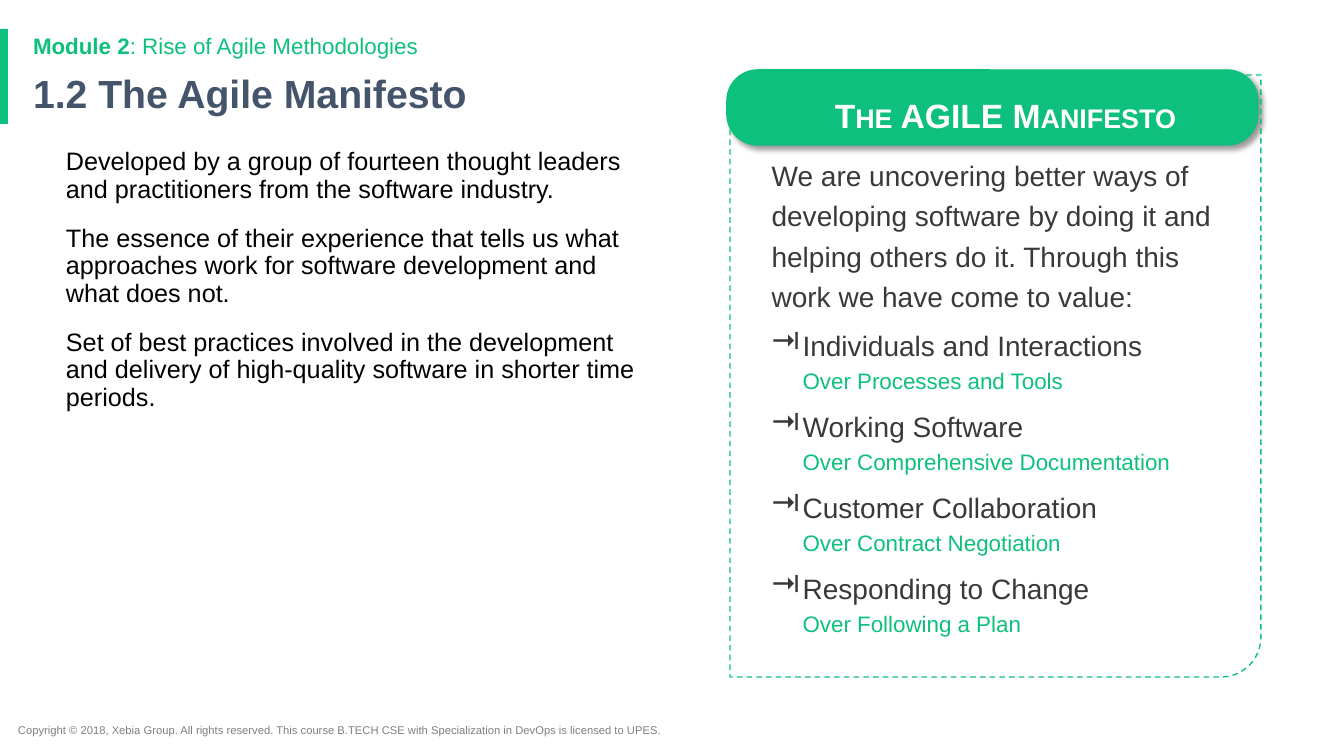
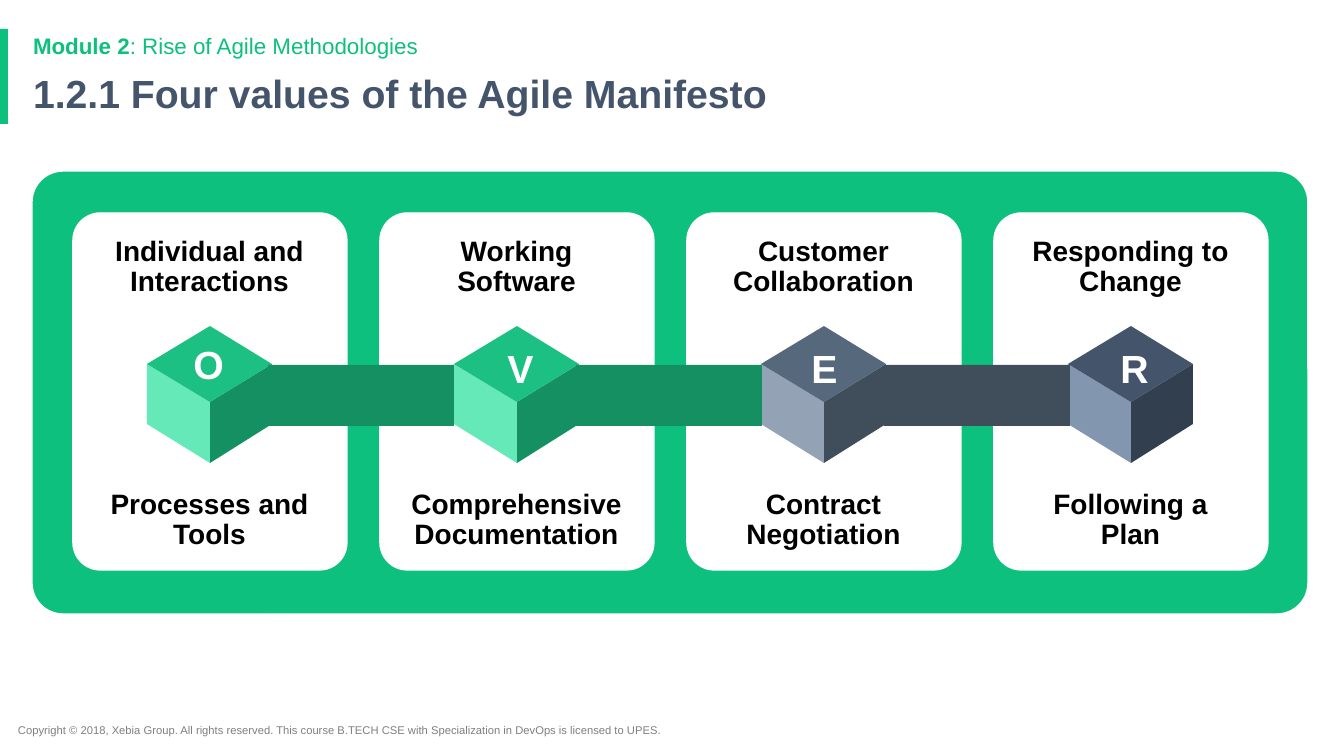
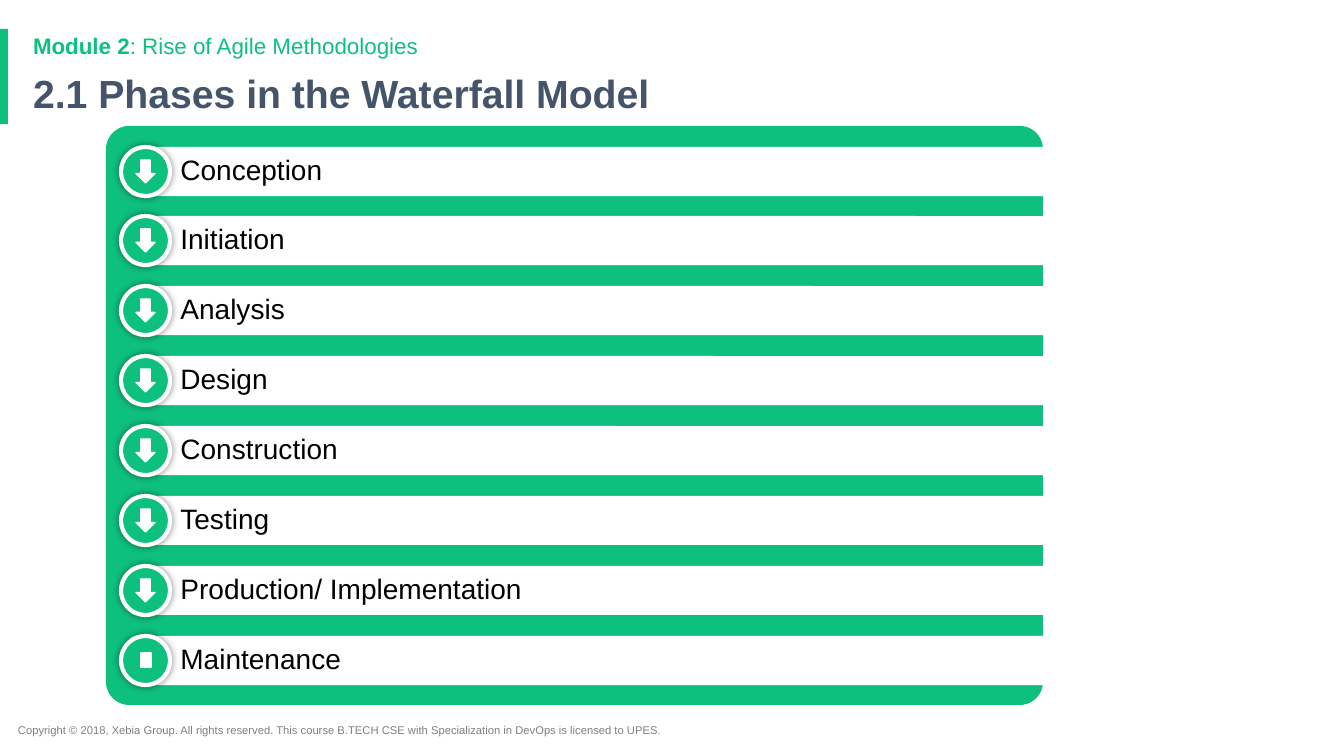
from lxml import etree
from pptx import Presentation
from pptx.dml.color import RGBColor
from pptx.enum.dml import MSO_LINE
from pptx.enum.shapes import MSO_SHAPE
from pptx.enum.text import MSO_ANCHOR, PP_ALIGN
from pptx.oxml.ns import qn
from pptx.util import Pt

PX = 914400 / 100.8
RECT, OVAL = MSO_SHAPE.RECTANGLE, MSO_SHAPE.OVAL
ROUNDED, DIAGONAL = MSO_SHAPE.ROUNDED_RECTANGLE, MSO_SHAPE.ROUND_2_DIAG_RECTANGLE
DOWN_ARROW, DASH = MSO_SHAPE.DOWN_ARROW, MSO_LINE.DASH
TOP, MIDDLE = MSO_ANCHOR.TOP, MSO_ANCHOR.MIDDLE
CENTER = PP_ALIGN.CENTER

GREEN = RGBColor(0x0E, 0xC0, 0x7D)
SLATE = RGBColor(0x44, 0x54, 0x6A)
WHITE = RGBColor(0xFF, 0xFF, 0xFF)
BLACK = RGBColor(0x00, 0x00, 0x00)
GRAY = RGBColor(0x7F, 0x7F, 0x7F)
CHARCOAL = RGBColor(0x3A, 0x38, 0x38)
GREEN_DARK = RGBColor(0x14, 0x90, 0x62)
GREEN_LIGHT = RGBColor(0x65, 0xE9, 0xB8)
GREEN_TOP = RGBColor(0x1C, 0xC0, 0x83)
STEEL_DARK = RGBColor(0x40, 0x4E, 0x5C)
STEEL_LIGHT = RGBColor(0x93, 0xA3, 0xB5)
STEEL_TOP = RGBColor(0x56, 0x68, 0x7C)
NAVY_DARK = RGBColor(0x32, 0x3F, 0x4F)
NAVY_LIGHT = RGBColor(0x82, 0x96, 0xB0)

FOOTER_FONT = {"size": Pt(8), "color": GRAY}
TITLE_FONT = {"size": Pt(28), "color": SLATE, "bold": True}
MODULE_FONT = {"size": Pt(16), "color": GREEN}
BODY_FONT = {"size": Pt(18), "color": BLACK}
CARD_FONT = {"size": Pt(20), "color": BLACK, "bold": True}
LETTER_FONT = {"size": Pt(28), "color": WHITE, "bold": True}
PHASE_FONT = {"size": Pt(20), "color": BLACK}
BANNER_FONT = {"size": Pt(24), "color": WHITE, "bold": True}
VALUE_FONT = {"size": Pt(20), "color": CHARCOAL}
OVER_FONT = {"size": Pt(16), "color": GREEN}
TIGHT = {"line_spacing": 0.9}
TIGHT_CENTER = {"line_spacing": 0.9, "alignment": CENTER}


def add_block(slide, kind, box, fill=None, line=None, weight=1, adj=(), shadow=None):
    block = slide.shapes.add_shape(kind, *[round(v * PX) for v in box])
    block.shadow.inherit = False
    for index, value in enumerate(adj):
        block.adjustments[index] = value
    if fill is None:
        block.fill.background()
    else:
        block.fill.solid()
        block.fill.fore_color.rgb = fill
    if line is None:
        block.line.fill.background()
    else:
        block.line.color.rgb = line
        block.line.width = Pt(weight)
    if shadow:
        blur, distance, angle = shadow
        effects = block._element.spPr.find(qn("a:effectLst"))
        outer = etree.SubElement(effects, qn("a:outerShdw"), blurRad=str(Pt(blur)),
                                 dist=str(Pt(distance)), dir=str(angle * 60000),
                                 algn="ctr", rotWithShape="0")
        tint = etree.SubElement(outer, qn("a:srgbClr"), val="000000")
        etree.SubElement(tint, qn("a:alpha"), val="40000")
    return block


def write(target, paragraphs, box=None, insets=(10, 5, 10, 5), anchor=TOP):
    if box:
        target = target.shapes.add_textbox(*[round(v * PX) for v in box])
    frame = target.text_frame
    frame.word_wrap = True
    frame.vertical_anchor = anchor
    for side, inset in zip(("left", "top", "right", "bottom"), insets):
        setattr(frame, "margin_" + side, round(inset * PX))
    for index, (layout, runs) in enumerate(paragraphs):
        paragraph = frame.paragraphs[0] if index == 0 else frame.add_paragraph()
        paragraph.alignment = PP_ALIGN.LEFT
        for name, value in layout.items():
            if name != "bullet":
                setattr(paragraph, name, value)
        if "bullet" in layout:
            properties = paragraph._p.get_or_add_pPr()
            properties.set("marL", str(round(31 * PX)))
            properties.set("indent", str(round(-31 * PX)))
            bullet_color = etree.SubElement(properties, qn("a:buClr"))
            etree.SubElement(bullet_color, qn("a:srgbClr"), val=str(CHARCOAL))
            etree.SubElement(properties, qn("a:buChar"), char=layout["bullet"])
        for text, style in runs:
            if text.startswith("\n"):
                paragraph.add_line_break()
            run = paragraph.add_run()
            run.text = text.lstrip("\n")
            run.font.name = "Arial"
            for name, value in style.items():
                if name == "color":
                    run.font.color.rgb = value
                elif name == "cap":
                    run.font._element.set("cap", value)
                else:
                    setattr(run.font, name, value)


deck = Presentation()
deck.slide_width, deck.slide_height = round(1344 * PX), round(756 * PX)

slides = []
for title in ("1.2 The Agile Manifesto", "1.2.1 Four values of the Agile Manifesto",
              "2.1 Phases in the Waterfall Model"):
    slide = deck.slides.add_slide(deck.slide_layouts[6])
    add_block(slide, RECT, (0, 29, 8, 95), GREEN)
    write(slide, [({}, [("Copyright © 2018, Xebia Group. All rights reserved. This course B.TECH CSE "
                         "with Specialization in DevOps is licensed to UPES.", FOOTER_FONT)])],
          (8, 718, 719, 24))
    write(slide, [(TIGHT, [(title, TITLE_FONT)])], (23, 70, 1211, 54))
    write(slide, [(TIGHT, [("Module 2", {**MODULE_FONT, "bold": True}),
                           (": Rise of Agile Methodologies", MODULE_FONT)])],
          (23, 30, 1211, 33))
    slides.append(slide)
manifesto, values, waterfall = slides

origins = (
    "Developed by a group of fourteen thought leaders and practitioners from the software industry.",
    "The essence of their experience that tells us what approaches work for software development "
    "and what does not.",
    "Set of best practices involved in the development and delivery of high-quality software in "
    "shorter time periods.",
)
write(manifesto, [({**TIGHT, "space_before": Pt(16 if i else 0)}, [(text, BODY_FONT)])
                  for i, text in enumerate(origins)], (56, 144, 589, 533))

add_block(manifesto, ROUNDED, (727, 70, 531, 75), GREEN, GREEN, adj=(0.41,), shadow=(4, 3, 45))
manifesto_frame = add_block(manifesto, DIAGONAL, (730, 75, 531, 602), line=GREEN, adj=(0.075, 0))
manifesto_frame.line.dash_style = DASH
small_caps = {**BANNER_FONT, "cap": "small"}
manifesto_text = [
    ({"line_spacing": 1.2, "alignment": CENTER},
     [("The", small_caps), (" AGILE ", BANNER_FONT), ("Manifesto", small_caps)]),
    ({"line_spacing": 1.2, "space_before": Pt(12)},
     [("We are uncovering better ways of developing software by doing it and helping others "
       "do it. Through this work we have come to value:", VALUE_FONT)]),
]
for value, over in (("Individuals and Interactions", "Over Processes and Tools"),
                    ("Working Software", "Over Comprehensive Documentation"),
                    ("Customer Collaboration", "Over Contract Negotiation"),
                    ("Responding to Change", "Over Following a Plan")):
    manifesto_text.append(({"line_spacing": 1.2, "space_before": Pt(6), "bullet": "⇥"},
                           [(value, VALUE_FONT), ("\n" + over, OVER_FONT)]))
write(manifesto_frame, manifesto_text, insets=(30, 0, 10, 5))

add_block(values, ROUNDED, (32, 171, 1276, 443), GREEN, WHITE, adj=(0.07,))
cards = (
    ("Individual and Interactions", "Processes and Tools", "O", 149, 341,
     GREEN_DARK, GREEN_LIGHT, GREEN_TOP),
    ("Working Software", "Comprehensive Documentation", "V", 461, 345,
     GREEN_DARK, GREEN_LIGHT, GREEN_TOP),
    ("Customer Collaboration", "Contract Negotiation", "E", 765, 345,
     STEEL_DARK, STEEL_LIGHT, STEEL_TOP),
    ("Responding to Change", "Following a Plan", "R", 1075, 345,
     NAVY_DARK, NAVY_LIGHT, SLATE),
)
for i, (preferred, other, letter, letter_x, letter_y, dark, light, top) in enumerate(cards):
    shift = 307 * i
    add_block(values, ROUNDED, (73 + shift, 213, 274, 357), WHITE, WHITE, adj=(0.1,))
    for text, y in ((other, 485), (preferred, 232)):
        write(values, [(TIGHT_CENTER, [(text, CARD_FONT)])], (94 + shift, y, 231, 40))
    left, middle, right = 147 + shift, 210 + shift, 272 + shift
    for color, outline in (
        (dark, ((right, 364), (right, 424), (middle, 463), (middle, 402))),
        (light, ((middle, 463), (middle, 402), (left, 364), (left, 424))),
        (top, ((middle, 402), (right, 364), (middle, 326), (left, 364))),
    ):
        builder = values.shapes.build_freeform(*outline[0], scale=PX)
        builder.add_line_segments(outline[1:], close=True)
        face = builder.convert_to_shape()
        face.shadow.inherit = False
        face.fill.solid()
        face.fill.fore_color.rgb = color
        face.line.fill.background()
    write(values, [(TIGHT_CENTER, [(letter, LETTER_FONT)])], (letter_x, letter_y, 119, 40))
for i, color in enumerate((GREEN_DARK, GREEN_DARK, STEEL_DARK)):
    add_block(values, RECT, (268 + 308 * i, 365, 186, 61), color)

add_block(waterfall, ROUNDED, (106, 126, 937, 579), GREEN, adj=(0.04,))
phases = ("Conception", "Initiation", "Analysis", "Design", "Construction", "Testing",
          "Production/ Implementation", "Maintenance")
for i, phase in enumerate(phases):
    y = 147 + 489 * i // 7
    phase_bar = add_block(waterfall, ROUNDED, (128, y, 930, 49), WHITE, adj=(0.17,))
    write(phase_bar, [(TIGHT, [(phase, PHASE_FONT)])], insets=(50, 0, 0, 0), anchor=MIDDLE)
    add_block(waterfall, OVAL, (121, y, 49, 49), GREEN, WHITE, 3, shadow=(5, 0, 0))
    if phase == phases[-1]:
        add_block(waterfall, RECT, (141, y + 17, 10, 14), WHITE, WHITE)
    else:
        add_block(waterfall, DOWN_ARROW, (136, y + 13, 19, 23), WHITE, WHITE, adj=(0.5, 0.5))

deck.save("out.pptx")
